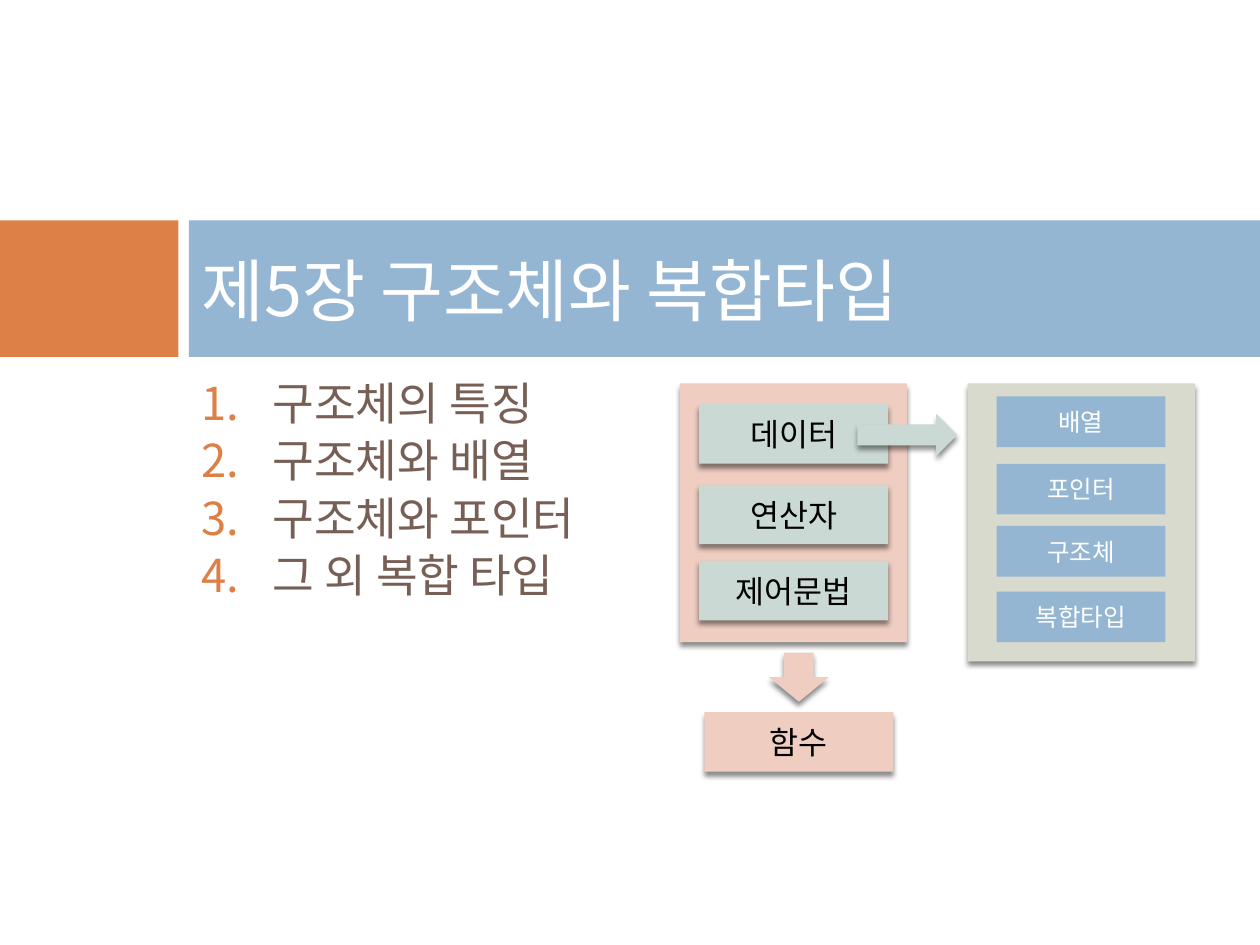
from dataclasses import dataclass
from typing import Optional

from lxml.etree import SubElement
from pptx import Presentation
from pptx.dml.color import RGBColor
from pptx.enum.shapes import MSO_SHAPE
from pptx.enum.text import MSO_ANCHOR, MSO_AUTO_SIZE, PP_ALIGN
from pptx.oxml import parse_xml
from pptx.oxml.ns import nsdecls, qn
from pptx.util import Pt


@dataclass(frozen=True)
class Theme:
    font: str = "Noto Sans CJK KR"
    orange: str = "DD8047"
    blue: str = "94B6D2"
    green: str = "D8DACD"
    pink: str = "EFCDC1"
    teal: str = "CBD9D5"
    brown: str = "775F55"
    white: str = "FFFFFF"
    black: str = "000000"
    title_size: float = 39
    list_size: float = 25.9
    block_size: float = 18
    chip_size: float = 14


THEME = Theme()


@dataclass(frozen=True)
class Box:
    left: float
    top: float
    width: float
    height: float
    fill: str
    text: str = ""
    size: float = THEME.block_size
    color: str = THEME.black
    shadow: bool = True
    kind: MSO_SHAPE = MSO_SHAPE.RECTANGLE


def style_text(para, size: float, color: str) -> None:
    for span in para.runs:
        span.font.size = Pt(size)
        span.font.name = THEME.font
        span.font.color.rgb = RGBColor.from_string(color)
        east_asian = SubElement(span.font._element, qn("a:ea"))
        east_asian.set("typeface", THEME.font)


def add_shadow(shape) -> None:
    shape._element.spPr.append(parse_xml(
        f'<a:effectLst {nsdecls("a")}>'
        f'<a:outerShdw blurRad="{Pt(3)}" dist="{Pt(2.4)}" dir="5400000" rotWithShape="0">'
        f'<a:srgbClr val="{THEME.black}"><a:alpha val="45000"/></a:srgbClr>'
        '</a:outerShdw></a:effectLst>'))


def draw_box(page, box: Box, behind: Optional[object] = None) -> None:
    shape = page.shapes.add_shape(
        box.kind, Pt(box.left), Pt(box.top), Pt(box.width), Pt(box.height))
    shape.fill.solid()
    shape.fill.fore_color.rgb = RGBColor.from_string(box.fill)
    shape.line.fill.background()
    if box.shadow:
        add_shadow(shape)
    else:
        shape.shadow.inherit = False
    if box.text:
        shape.text_frame.text = box.text
        shape.text_frame.vertical_anchor = MSO_ANCHOR.MIDDLE
        para = shape.text_frame.paragraphs[0]
        para.alignment = PP_ALIGN.CENTER
        style_text(para, box.size, box.color)
    if behind is not None:
        behind._element.addprevious(shape._element)


def place(holder, left: float, top: float, width: float, height: float) -> None:
    holder.left, holder.top = Pt(left), Pt(top)
    holder.width, holder.height = Pt(width), Pt(height)
    holder.text_frame.auto_size = MSO_AUTO_SIZE.NONE


def number_paragraph(para) -> None:
    properties = para._element.get_or_add_pPr()
    properties.set("marL", str(Pt(40.5)))
    properties.set("indent", str(Pt(-40.5)))
    color = SubElement(properties, qn("a:buClr"))
    SubElement(color, qn("a:srgbClr")).set("val", THEME.orange)
    SubElement(properties, qn("a:buFont")).set("typeface", THEME.font)
    SubElement(properties, qn("a:buAutoNum")).set("type", "arabicPeriod")


def main() -> None:
    deck = Presentation()
    deck.slide_width, deck.slide_height = Pt(720), Pt(540)
    page = deck.slides.add_slide(deck.slide_layouts[1])
    title, body = page.shapes.title, page.placeholders[1]

    # Title band, behind the placeholders
    for left, width, fill in ((0, 102, THEME.orange), (108, 612, THEME.blue)):
        draw_box(page, Box(left, 126, width, 78, fill, shadow=False), behind=title)

    # Title
    place(title, 108, 126, 600, 78)
    title.text_frame.text = "제5장 구조체와 복합타입"
    title.text_frame.vertical_anchor = MSO_ANCHOR.MIDDLE
    title.text_frame.paragraphs[0].alignment = PP_ALIGN.LEFT
    style_text(title.text_frame.paragraphs[0], THEME.title_size, THEME.white)

    # Numbered contents
    place(body, 108, 216, 561, 132)
    topics = ("구조체의 특징", "구조체와 배열", "구조체와 포인터", "그 외 복합 타입")
    body.text_frame.text = "\n".join(topics)
    for index, para in enumerate(body.text_frame.paragraphs):
        number_paragraph(para)
        para.line_spacing = 0.83
        para.space_before = Pt(7 if index else 0)
        style_text(para, THEME.list_size, THEME.brown)

    # Panels, behind the list
    draw_box(page, Box(553, 219, 130, 159, THEME.green), behind=body)
    draw_box(page, Box(388.5, 219, 130, 148, THEME.pink), behind=body)

    # Language elements and the function they build
    for top, text in ((231, "데이터"), (277, "연산자"), (320.5, "제어문법")):
        draw_box(page, Box(399.5, top, 108, 34, THEME.teal, text))
    draw_box(page, Box(402.5, 407, 108, 34, THEME.pink, "함수"))

    # Arrows to the function and to the data types
    draw_box(page, Box(439.5, 373, 34, 28, THEME.pink, kind=MSO_SHAPE.DOWN_ARROW))
    draw_box(page, Box(490, 236.5, 57, 24, THEME.teal, kind=MSO_SHAPE.RIGHT_ARROW))

    # Data types
    for top, text in ((226.5, "배열"), (265, "포인터"), (300.5, "구조체"), (338, "복합타입")):
        draw_box(page, Box(569.5, top, 96.5, 29, THEME.blue, text,
                           THEME.chip_size, THEME.white, shadow=False))

    deck.save("out.pptx")


if __name__ == "__main__":
    main()
